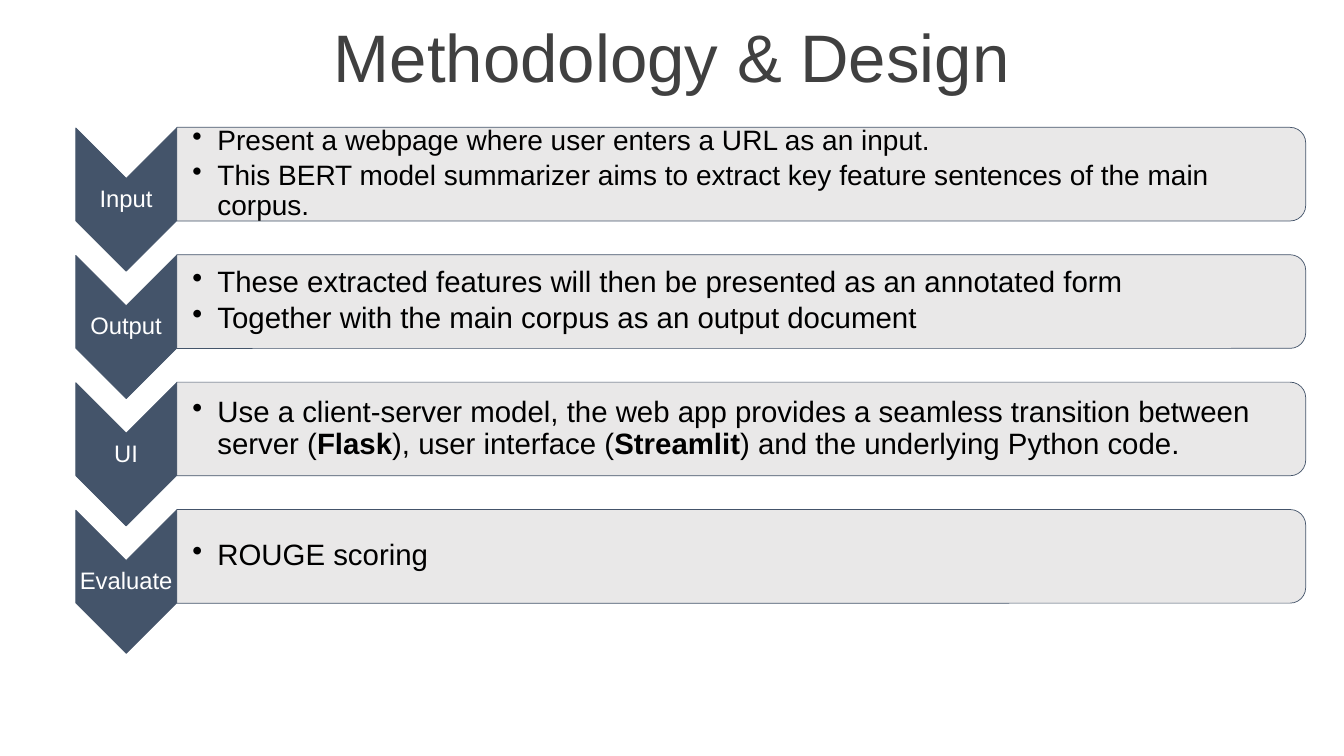
"""Build the Methodology & Design slide with four chevron steps."""
from lxml import etree
from pptx import Presentation
from pptx import util as u
from pptx.dml.color import RGBColor
from pptx.enum import shapes, text
from pptx.oxml import ns

NAVY = RGBColor(0x44, 0x54, 0x6A)
GREY = RGBColor(0xE7, 0xE6, 0xE6)
TITLE_GREY = RGBColor(0x40, 0x40, 0x40)
BLACK = RGBColor(0, 0, 0)
WHITE = RGBColor(0xFF, 0xFF, 0xFF)

FIRST_ROW_TOP = 3.21
ROW_PITCH = 3.21
PANEL_HEIGHT = 2.36

STEPS = [
    ("Input", 20, [
        ["Present a webpage where user enters a URL as an input."],
        ["This BERT model summarizer aims to extract key feature sentences "
         "of the main corpus."],
    ]),
    ("Output", 21, [
        ["These extracted features will then be presented as an annotated form"],
        ["Together with the main corpus as an output document"],
    ]),
    ("UI", 21, [
        ["Use a client-server model, the web app provides a seamless "
         "transition between server (", "Flask", "), user interface (",
         "Streamlit", ") and the underlying Python code."],
    ]),
    ("Evaluate", 21, [["ROUGE scoring"]]),
]


def add_text_box(slide, left, top, width, height, left_inset=0.03, inset=0.03):
    """Add a wrapping, vertically centred text box and return its text frame."""
    box = slide.shapes.add_textbox(u.Cm(left), u.Cm(top), u.Cm(width), u.Cm(height))
    frame = box.text_frame
    frame.word_wrap = True
    frame.vertical_anchor = text.MSO_ANCHOR.MIDDLE
    frame.margin_left = u.Cm(left_inset)
    frame.margin_right = frame.margin_top = frame.margin_bottom = u.Cm(inset)
    return frame


def add_run(paragraph, words, size, color, bold=False):
    """Append one formatted run to a paragraph."""
    run = paragraph.add_run()
    run.text = words
    run.font.name = "Arial"
    run.font.size = u.Pt(size)
    run.font.bold = bold
    run.font.color.rgb = color


def add_centred_text(frame, words, size, color):
    """Fill a text frame with a single centred line."""
    paragraph = frame.paragraphs[0]
    paragraph.alignment = text.PP_ALIGN.CENTER
    paragraph.line_spacing = 0.9
    add_run(paragraph, words, size, color)


def add_bullets(frame, bullets, size):
    """Fill a text frame with bullets, whose every second run is bold."""
    for index, runs in enumerate(bullets):
        paragraph = frame.add_paragraph() if index else frame.paragraphs[0]
        paragraph.line_spacing = 0.9
        paragraph.space_after = u.Pt(3)
        properties = paragraph._p.get_or_add_pPr()
        properties.set("marL", str(u.Cm(0.63)))
        properties.set("indent", str(u.Cm(-0.63)))
        etree.SubElement(properties, ns.qn("a:buChar")).set("char", "•")
        for position, words in enumerate(runs):
            add_run(paragraph, words, size, BLACK, bold=position % 2 == 1)


def add_turned_shape(slide, kind, center_x, center_y, width, height, fill):
    """Add an outlined shape turned a quarter clockwise around its centre."""
    shape = slide.shapes.add_shape(
        kind, u.Cm(center_x - width / 2), u.Cm(center_y - height / 2),
        u.Cm(width), u.Cm(height))
    shape.rotation = 90
    shape.shadow.inherit = False
    shape.fill.solid()
    shape.fill.fore_color.rgb = fill
    shape.line.color.rgb = NAVY
    shape.line.width = u.Pt(0.5)
    return shape


def set_opacity(shape, percent):
    """Set the opacity of a solid shape fill."""
    color = shape._element.spPr.find(ns.qn("a:solidFill"))[0]
    etree.SubElement(color, ns.qn("a:alpha")).set("val", str(percent * 1000))


def add_step(slide, top, label, size, bullets):
    """Add one row: chevron with label, and panel with bullets."""
    add_turned_shape(slide, shapes.MSO_SHAPE.CHEVRON,
                     3.18, top + 1.82, 3.61, 2.54, NAVY)
    label_frame = add_text_box(slide, 1.91, top + 1.28, 2.54, 1.09)
    add_centred_text(label_frame, label, 17, WHITE)
    panel = add_turned_shape(slide, shapes.MSO_SHAPE.ROUND_2_SAME_RECTANGLE,
                             18.68, top + PANEL_HEIGHT / 2,
                             PANEL_HEIGHT, 28.45, GREY)
    set_opacity(panel, 90)
    bullet_frame = add_text_box(slide, 4.45, top + 0.12, 28.35, 2.11, left_inset=0.4)
    add_bullets(bullet_frame, bullets, size)


def main():
    """Build and save the presentation."""
    presentation = Presentation()
    presentation.slide_width = u.Cm(33.87)
    presentation.slide_height = u.Cm(19.05)
    slide = presentation.slides.add_slide(presentation.slide_layouts[6])
    title = add_text_box(slide, 0, 0.46, 33.87, 2.13, left_inset=0.25, inset=0.25)
    add_centred_text(title, "Methodology & Design", 48, TITLE_GREY)
    for row, (label, size, bullets) in enumerate(STEPS):
        add_step(slide, FIRST_ROW_TOP + row * ROW_PITCH, label, size, bullets)
    presentation.save("out.pptx")


if __name__ == "__main__":
    main()
